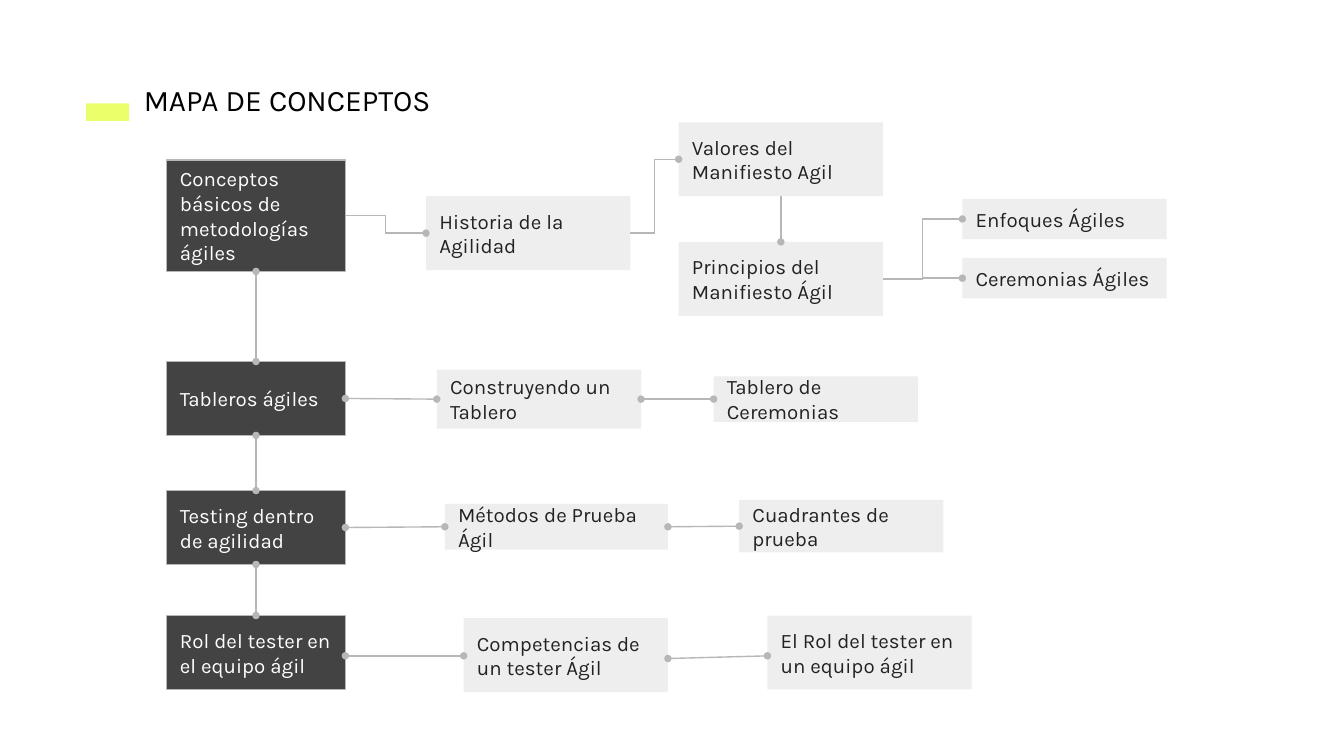
import pptx
import pptx.util
import pptx.dml.color
import pptx.enum.shapes
import pptx.enum.text
import pptx.oxml.ns
from lxml import etree

SLIDE_WIDTH = 10
SLIDE_HEIGHT = SLIDE_WIDTH * 9 / 16
COLORS = {
    "accent": "EAFF6A", "title": "000000", "topic": "434343", "topic_text": "FFFFFF",
    "concept": "EEEEEE", "concept_text": "222222", "link": "B7B7B7",
}
FONT = "Karla"
TITLE = "MAPA DE CONCEPTOS"
TOPIC_LEFT, TOPIC_WIDTH = 1.24, 1.33
CONCEPT_WIDTH, TALL = 1.52, 0.55
TOP, LEFT, BOTTOM, RIGHT = range(4)

TOPICS = [
    ("conceptos", "Conceptos básicos de metodologías ágiles", 1.19, 0.83),
    ("tableros", "Tableros ágiles", 2.69, TALL),
    ("testing", "Testing dentro de agilidad", 3.65, TALL),
    ("rol", "Rol del tester en el equipo ágil", 4.58, TALL),
]
CONCEPTS = [
    ("historia", "Historia de la Agilidad", 3.17, 1.46, CONCEPT_WIDTH, TALL),
    ("valores", "Valores del Manifiesto Agil", 5.05, 0.91, CONCEPT_WIDTH, TALL),
    ("principios", "Principios del Manifiesto Ágil", 5.05, 1.8, CONCEPT_WIDTH, TALL),
    ("enfoques", "Enfoques Ágiles", 7.16, 1.48, CONCEPT_WIDTH, 0.3),
    ("ceremonias", "Ceremonias Ágiles", 7.16, 1.92, CONCEPT_WIDTH, 0.3),
    ("construyendo", "Construyendo un Tablero", 3.25, 2.75, CONCEPT_WIDTH, 0.44),
    ("tablero", "Tablero de Ceremonias", 5.31, 2.8, CONCEPT_WIDTH, 0.34),
    ("metodos", "Métodos de Prueba Ágil", 3.31, 3.75, 1.66, 0.34),
    ("cuadrantes", "Cuadrantes de prueba", 5.5, 3.72, CONCEPT_WIDTH, 0.39),
    ("competencias", "Competencias de un tester Ágil", 3.45, 4.6, CONCEPT_WIDTH, TALL),
    ("rol_equipo", "El Rol del tester en un equipo ágil", 5.71, 4.58, CONCEPT_WIDTH, TALL),
]
ELBOWS = [
    ("conceptos", "historia"), ("historia", "valores"),
    ("principios", "ceremonias"), ("principios", "enfoques"),
]
STRAIGHTS = [
    ("tableros", "construyendo"), ("construyendo", "tablero"),
    ("testing", "metodos"), ("metodos", "cuadrantes"),
]
OFF_CENTER = [("rol", "competencias", 4.88, 4.88), ("competencias", "rol_equipo", 4.9, 4.88)]

inch = pptx.util.Inches
Kind = pptx.enum.shapes.MSO_CONNECTOR


def rgb(name):
    return pptx.dml.color.RGBColor.from_string(COLORS[name])


def write(frame, text, *, size, color, anchor):
    frame.word_wrap = True
    frame.vertical_anchor = anchor
    for side in ("left", "top", "right", "bottom"):
        setattr(frame, f"margin_{side}", inch(0.1))
    frame.text = text
    paragraph = frame.paragraphs[0]
    paragraph.alignment = pptx.enum.text.PP_ALIGN.LEFT
    font = paragraph.runs[0].font
    font.name, font.size = FONT, pptx.util.Pt(size)
    font.color.rgb = rgb(color)


def add_block(slide, box, fill, outline=None):
    block = slide.shapes.add_shape(pptx.enum.shapes.MSO_SHAPE.RECTANGLE, *map(inch, box))
    block.shadow.inherit = False
    block.fill.solid()
    block.fill.fore_color.rgb = rgb(fill)
    if outline:
        block.line.color.rgb = rgb(outline)
        block.line.width = pptx.util.Pt(0.75)
    else:
        block.line.fill.background()
    return block


def add_node(slide, text, box, role, outline=None):
    node = add_block(slide, box, role, outline)
    write(node.text_frame, text, size=11, color=f"{role}_text",
          anchor=pptx.enum.text.MSO_ANCHOR.MIDDLE)
    return node


def add_link(slide, start, end, sides=(RIGHT, LEFT), kind=Kind.STRAIGHT,
             ends=("headEnd", "tailEnd"), heights=None):
    if heights:
        link = slide.shapes.add_connector(kind, start.left + start.width, inch(heights[0]),
                                          end.left, inch(heights[1]))
    else:
        link = slide.shapes.add_connector(kind, 0, 0, 0, 0)
        link.begin_connect(start, sides[0])
        link.end_connect(end, sides[1])
    link.line.color.rgb = rgb("link")
    link.line.width = pptx.util.Pt(0.75)
    qn = pptx.oxml.ns.qn
    properties = link._element.spPr
    for tag in ends:
        etree.SubElement(properties.find(qn("a:ln")), qn(f"a:{tag}"),
                         type="oval", w="sm", len="sm")
    etree.SubElement(properties, qn("a:effectLst"))


def main():
    deck = pptx.Presentation()
    deck.slide_width, deck.slide_height = inch(SLIDE_WIDTH), inch(SLIDE_HEIGHT)
    slide = deck.slides.add_slide(deck.slide_layouts[5])

    add_block(slide, (0.64, 0.77, 0.32, 0.13), "accent")
    title = slide.shapes.title
    title.left, title.top, title.width, title.height = map(inch, (0.97, 0.51, 2.69, 0.47))
    write(title.text_frame, TITLE, size=16, color="title",
          anchor=pptx.enum.text.MSO_ANCHOR.TOP)
    title.text_frame.auto_size = pptx.enum.text.MSO_AUTO_SIZE.SHAPE_TO_FIT_TEXT

    nodes = {}
    for key, text, top, height in TOPICS:
        nodes[key] = add_node(slide, text, (TOPIC_LEFT, top, TOPIC_WIDTH, height),
                              "topic", "link")
    for key, text, *box in CONCEPTS:
        nodes[key] = add_node(slide, text, box, "concept")

    for upper, lower in zip(TOPICS, TOPICS[1:]):
        add_link(slide, nodes[upper[0]], nodes[lower[0]], (BOTTOM, TOP))
    for start, end in ELBOWS:
        add_link(slide, nodes[start], nodes[end], kind=Kind.ELBOW, ends=("tailEnd",))
    add_link(slide, nodes["valores"], nodes["principios"], (BOTTOM, TOP), ends=("tailEnd",))
    for start, end in STRAIGHTS:
        add_link(slide, nodes[start], nodes[end])
    for start, end, *heights in OFF_CENTER:
        add_link(slide, nodes[start], nodes[end], heights=heights)

    deck.save("out.pptx")


if __name__ == "__main__":
    main()
